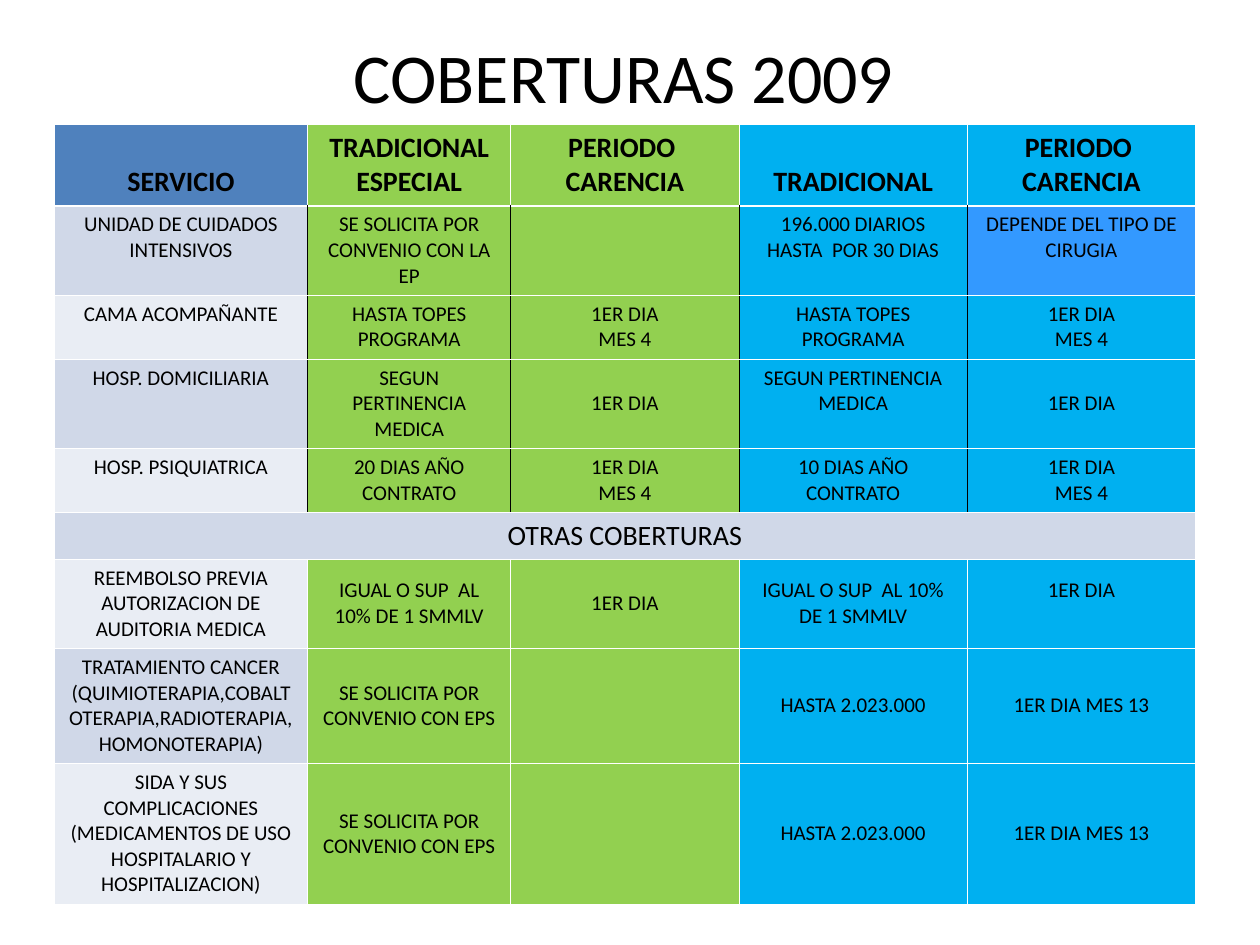
from dataclasses import dataclass

from lxml.etree import SubElement
from pptx import Presentation
from pptx.dml.color import RGBColor
from pptx.enum.text import MSO_ANCHOR, PP_ALIGN
from pptx.oxml.ns import qn
from pptx.util import Inches, Pt


@dataclass(frozen=True)
class Theme:
    font: str = "Calibri"
    ink: str = "000000"
    grid: str = "FFFFFF"
    header: str = "4F81BD"
    special: str = "92D050"
    traditional: str = "00B0F0"
    surgery: str = "3399FF"
    bands: tuple = ("D0D8E8", "E9EDF4")
    title_size: int = 40
    heading_size: int = 16
    body_size: int = 12
    thin: float = 0.45
    thick: float = 1.47


THEME = Theme()
SLIDE_W, SLIDE_H = 10, 7.5
PAD = 0.05
COLUMN_UNITS = (10, 8, 9, 9, 9)
SECTION_ROW = 5
SURGERY_CELL = (1, 4)

# Lines of text that set each row's height
ROW_LINES = (2, 3, 2, 3, 2, 1, 3, 4, 5)
COVERAGES = (
    ("SERVICIO", "TRADICIONAL ESPECIAL", "PERIODO  CARENCIA", "TRADICIONAL", "PERIODO  CARENCIA"),
    ("UNIDAD DE CUIDADOS INTENSIVOS", "SE SOLICITA POR CONVENIO CON LA EP", "",
     "196.000 DIARIOS HASTA  POR 30 DIAS", "DEPENDE DEL TIPO DE CIRUGIA"),
    ("CAMA ACOMPAÑANTE", "HASTA TOPES PROGRAMA", "1ER DIA\nMES 4",
     "HASTA TOPES PROGRAMA", "1ER DIA\nMES 4"),
    ("HOSP. DOMICILIARIA", "SEGUN PERTINENCIA MEDICA", "1ER DIA",
     "SEGUN PERTINENCIA MEDICA", "1ER DIA"),
    ("HOSP. PSIQUIATRICA", "20 DIAS AÑO CONTRATO", "1ER DIA\nMES 4",
     "10 DIAS AÑO CONTRATO", "1ER DIA\nMES 4"),
    ("OTRAS COBERTURAS", "", "", "", ""),
    ("REEMBOLSO PREVIA AUTORIZACION DE AUDITORIA MEDICA", "IGUAL O SUP  AL 10% DE 1 SMMLV",
     "1ER DIA", "IGUAL O SUP  AL 10% DE 1 SMMLV", "1ER DIA"),
    ("TRATAMIENTO CANCER (QUIMIOTERAPIA,COBALTOTERAPIA,RADIOTERAPIA,HOMONOTERAPIA)",
     "SE SOLICITA POR CONVENIO CON EPS", "", "HASTA 2.023.000", "1ER DIA MES 13"),
    ("SIDA Y SUS COMPLICACIONES (MEDICAMENTOS DE USO HOSPITALARIO Y HOSPITALIZACION)",
     "SE SOLICITA POR CONVENIO CON EPS", "", "HASTA 2.023.000", "1ER DIA MES 13"),
)

# Cells whose text sits one line lower or higher
LOWERED = {(0, 0), (0, 3), (3, 2), (3, 4)}
RAISED = {(6, 4)}


def line_height(size):
    return size * 1.22 / 72


def write(frame, text, size, bold=False):
    frame.text = text
    font_values = {"name": THEME.font, "size": Pt(size), "bold": bold}
    for paragraph in frame.paragraphs:
        paragraph.alignment = PP_ALIGN.CENTER
        for run in paragraph.runs:
            for name, value in font_values.items():
                setattr(run.font, name, value)
            run.font.color.rgb = RGBColor.from_string(THEME.ink)


def add_title(slide, text, left, top, width, height):
    frame = slide.shapes.add_textbox(*map(Inches, (left, top, width, height))).text_frame
    frame.word_wrap = True
    frame.vertical_anchor = MSO_ANCHOR.MIDDLE
    write(frame, text, THEME.title_size)


def cell_fill(row, column):
    if (row, column) == SURGERY_CELL:
        return THEME.surgery
    if row == SECTION_ROW:
        return THEME.bands[0]
    if column == 0:
        return THEME.bands[(row - 1) % 2] if row else THEME.header
    return THEME.special if column < 3 else THEME.traditional


def draw_borders(cell, row, column):
    upright = 0 < row < SECTION_ROW
    last = len(COLUMN_UNITS) - 1
    edges = {
        "a:lnL": (THEME.ink if upright and column > 0 else THEME.grid, THEME.thin),
        "a:lnR": (THEME.ink if upright and column < last else THEME.grid, THEME.thin),
        "a:lnT": (THEME.grid, THEME.thick if row == 1 else THEME.thin),
        "a:lnB": (THEME.grid, THEME.thick if row == 0 else THEME.thin),
    }
    properties = cell._tc.get_or_add_tcPr()
    for tag, (color, width) in edges.items():
        line = SubElement(properties, qn(tag), w=str(Pt(width)))
        SubElement(SubElement(line, qn("a:solidFill")), qn("a:srgbClr"), val=color)


def style_cell(cell, row, column, text):
    size = THEME.heading_size if row in (0, SECTION_ROW) else THEME.body_size
    shift = line_height(size)
    centred = row > SECTION_ROW and column > 0
    cell_values = {
        "margin_left": Inches(2 * PAD),
        "margin_right": Inches(2 * PAD),
        "margin_top": Inches(PAD + shift * ((row, column) in LOWERED)),
        "margin_bottom": Inches(PAD + shift * ((row, column) in RAISED)),
        "vertical_anchor": MSO_ANCHOR.MIDDLE if centred else MSO_ANCHOR.TOP,
    }
    for name, value in cell_values.items():
        setattr(cell, name, value)
    draw_borders(cell, row, column)
    cell.fill.solid()
    cell.fill.fore_color.rgb = RGBColor.from_string(cell_fill(row, column))
    if text:
        write(cell.text_frame, text, size, bold=row == 0)


def add_coverage_table(slide, left, top, width):
    heights = [
        lines * line_height(THEME.heading_size if row in (0, SECTION_ROW) else THEME.body_size) + 2 * PAD
        for row, lines in enumerate(ROW_LINES)
    ]
    box = map(Inches, (left, top, width, sum(heights)))
    table = slide.shapes.add_table(len(COVERAGES), len(COLUMN_UNITS), *box).table
    table.first_row = table.horz_banding = False

    # Column and row grid
    for column, units in zip(table.columns, COLUMN_UNITS):
        column.width = Inches(width * units / sum(COLUMN_UNITS))
    for table_row, height in zip(table.rows, heights):
        table_row.height = Inches(height)

    # Section heading spans the table
    table.cell(SECTION_ROW, 0).merge(table.cell(SECTION_ROW, len(COLUMN_UNITS) - 1))
    for row, coverage in enumerate(COVERAGES):
        for column, text in enumerate(coverage):
            style_cell(table.cell(row, column), row, column, text)


def main():
    deck = Presentation()
    deck.slide_width, deck.slide_height = Inches(SLIDE_W), Inches(SLIDE_H)
    slide = deck.slides.add_slide(deck.slide_layouts[6])
    add_title(slide, "COBERTURAS 2009", 0.07 * SLIDE_W, 0.03 * SLIDE_H, 0.85 * SLIDE_W, 0.1 * SLIDE_H)
    add_coverage_table(slide, 0.043 * SLIDE_W, 0.132 * SLIDE_H, 0.906 * SLIDE_W)
    deck.save("out.pptx")


if __name__ == "__main__":
    main()
